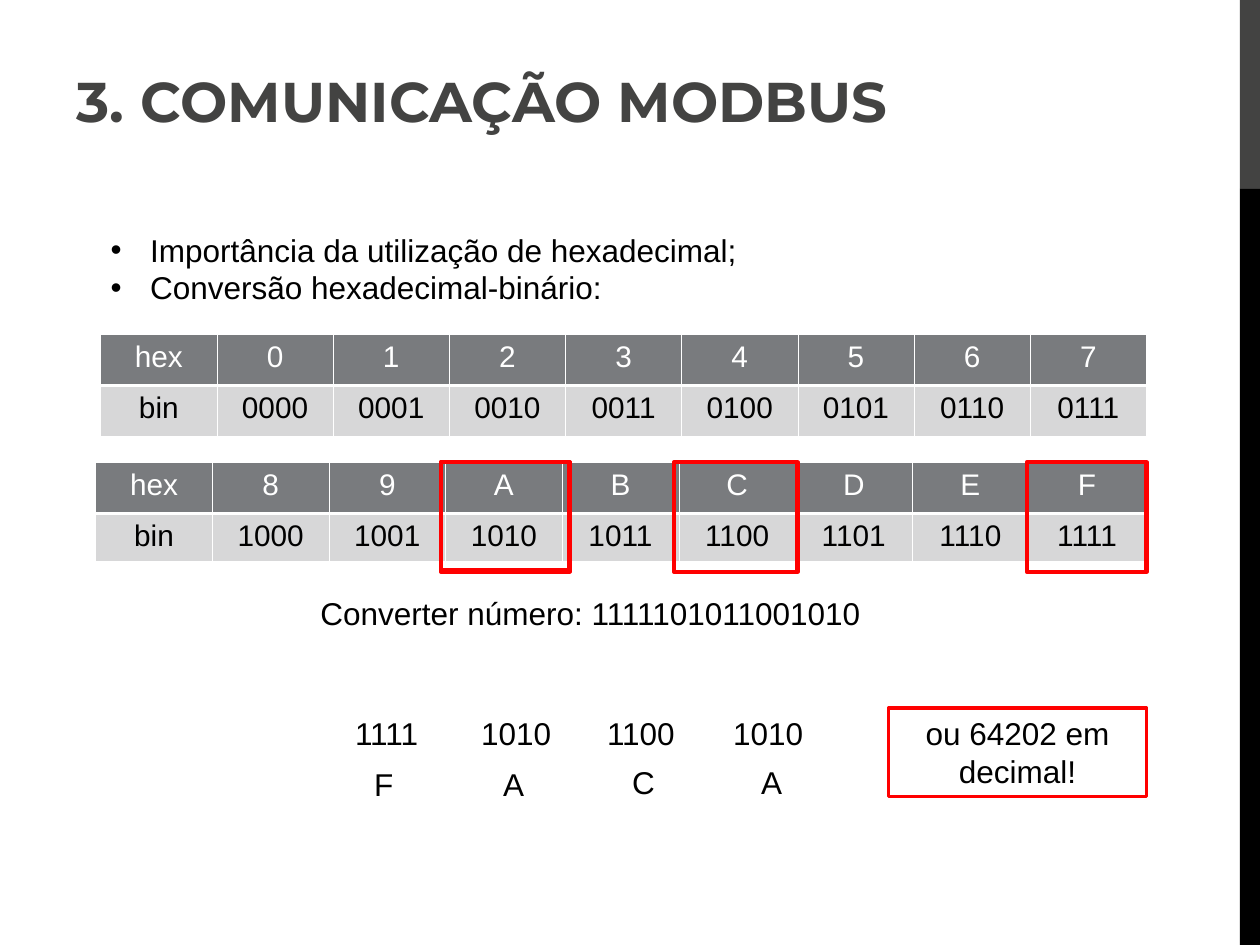
"""Build the slide on hexadecimal and binary numbers in Modbus communication."""
from lxml.etree import SubElement
from pptx import Presentation
from pptx.dml.color import RGBColor as Color
from pptx.enum.shapes import MSO_SHAPE as Shape
from pptx.enum.text import MSO_ANCHOR as Anchor, PP_ALIGN as Align
from pptx.oxml import parse_xml
from pptx.oxml.ns import nsdecls, qn
from pptx.util import Pt

COLORS = {
    "title": "434342",
    "black": "000000",
    "white": "FFFFFF",
    "header": "797B7E",
    "body": "D7D7D8",
    "red": "FF0000",
}


def write(frame, lines, size=18, color="black", align=Align.LEFT, font="Arial", bold=False):
    frame.word_wrap = True
    frame.text = "\n".join(lines)
    for para in frame.paragraphs:
        para.alignment = align
        para.font.name = font
        para.font.size = Pt(size)
        para.font.bold = bold
        para.font.color.rgb = Color.from_string(COLORS[color])


def add_rectangle(place, fill=None, line=None, width=0):
    box = page.shapes.add_shape(Shape.RECTANGLE, *map(Pt, place))
    box.shadow.inherit = False
    if fill:
        box.fill.solid()
        box.fill.fore_color.rgb = Color.from_string(COLORS[fill])
    else:
        box.fill.background()
    if line:
        box.line.color.rgb = Color.from_string(COLORS[line])
        box.line.width = Pt(width)
    else:
        box.line.fill.background()
    return box


deck = Presentation()
deck.slide_width, deck.slide_height = Pt(720), Pt(540)
page = deck.slides.add_slide(deck.slide_layouts[6])

add_rectangle((708.5, 0, 11.5, 108), fill="title")
add_rectangle((708.5, 108, 11.5, 432), fill="black")

title = page.shapes.add_textbox(Pt(36.7), Pt(20.2), Pt(657.4), Pt(59.8)).text_frame
title.vertical_anchor = Anchor.BOTTOM
write(title, ["3. COMUNICAÇÃO MODBUS"], 32, "title", font="Montserrat", bold=True)

topics = page.shapes.add_textbox(Pt(56.2), Pt(128.2), Pt(561.6), Pt(50.4)).text_frame
topics.text = "\n"
for para in topics.paragraphs:
    properties = para._p.get_or_add_pPr()
    properties.set("marL", str(Pt(22.5)))
    properties.set("indent", str(Pt(-22.5)))
    SubElement(properties, qn("a:buFont")).set("typeface", "Arial")
    SubElement(properties, qn("a:buChar")).set("char", "•")
for para, line in zip(topics.paragraphs, [
    "Importância da utilização de hexadecimal;",
    "Conversão hexadecimal-binário:",
]):
    para.text = line
    para.font.name = "Arial"
    para.font.size = Pt(18)
    para.font.color.rgb = Color.from_string(COLORS["black"])
topics.word_wrap = True

for first, left, top, width, heights in [
    (0, 57.6, 190.8, 597.6, (29.5, 28.8)),
    (8, 54.7, 264.2, 600, (29.2, 27.4)),
]:
    numbers = range(first, first + 8)
    rows = [
        ["hex"] + [f"{number:X}" for number in numbers],
        ["bin"] + [f"{number:04b}" for number in numbers],
    ]
    table = page.shapes.add_table(
        2, 9, Pt(left), Pt(top), Pt(width), Pt(sum(heights))
    ).table
    table.first_row = table.horz_banding = False
    for column in table.columns:
        column.width = Pt(width / 9)
    for index, (texts, fill, color, thick) in enumerate([
        (rows[0], "header", "white", "lnB"),
        (rows[1], "body", "black", "lnT"),
    ]):
        table.rows[index].height = Pt(heights[index])
        for cell, text in zip(table.rows[index].cells, texts):
            write(cell.text_frame, [text], 17, color, Align.CENTER)
            cell.fill.solid()
            cell.fill.fore_color.rgb = Color.from_string(COLORS[fill])
            for order, side in enumerate(["lnL", "lnR", "lnT", "lnB"]):
                border = parse_xml(
                    f'<a:{side} {nsdecls("a")} w="{Pt(1.47 if side == thick else 0.45)}">'
                    f'<a:solidFill><a:srgbClr val="{COLORS["white"]}"/></a:solidFill></a:{side}>'
                )
                cell._tc.get_or_add_tcPr().insert(order, border)

for left, width, height in [
    (252, 73.4, 62.6), (385.2, 70.6, 62.6), (586.8, 68.4, 62.6), (252, 73.4, 61.9)
]:
    add_rectangle((left, 264.2, width, height), line="red", width=2.5)

question = page.shapes.add_textbox(Pt(175.7), Pt(336.2), Pt(323.3), Pt(50.4)).text_frame
write(question, ["Converter número: 1111101011001010"], align=Align.CENTER)

groups = page.shapes.add_textbox(Pt(195.8), Pt(404.6), Pt(272.2), Pt(29)).text_frame
tabs = SubElement(groups.paragraphs[0]._p.get_or_add_pPr(), qn("a:tabLst"))
for stop in range(1, 4):
    tab = SubElement(tabs, qn("a:tab"))
    tab.set("pos", str(Pt(72 * stop)))
    tab.set("algn", "l")
write(groups, ["1111\t1010\t1100\t1010"])

for index, (digit, top) in enumerate([("F", 433.4), ("A", 433.4), ("C", 432.7), ("A", 432.7)]):
    box = page.shapes.add_textbox(Pt(206.7 + 73.7 * index), Pt(top), Pt(28), Pt(29))
    write(box.text_frame, [digit])

answer = add_rectangle((507.6, 404.6, 147.6, 50.4), line="red", width=1.75).text_frame
answer.vertical_anchor = Anchor.TOP
write(answer, ["ou 64202 em decimal!"], align=Align.CENTER)

deck.save("out.pptx")
